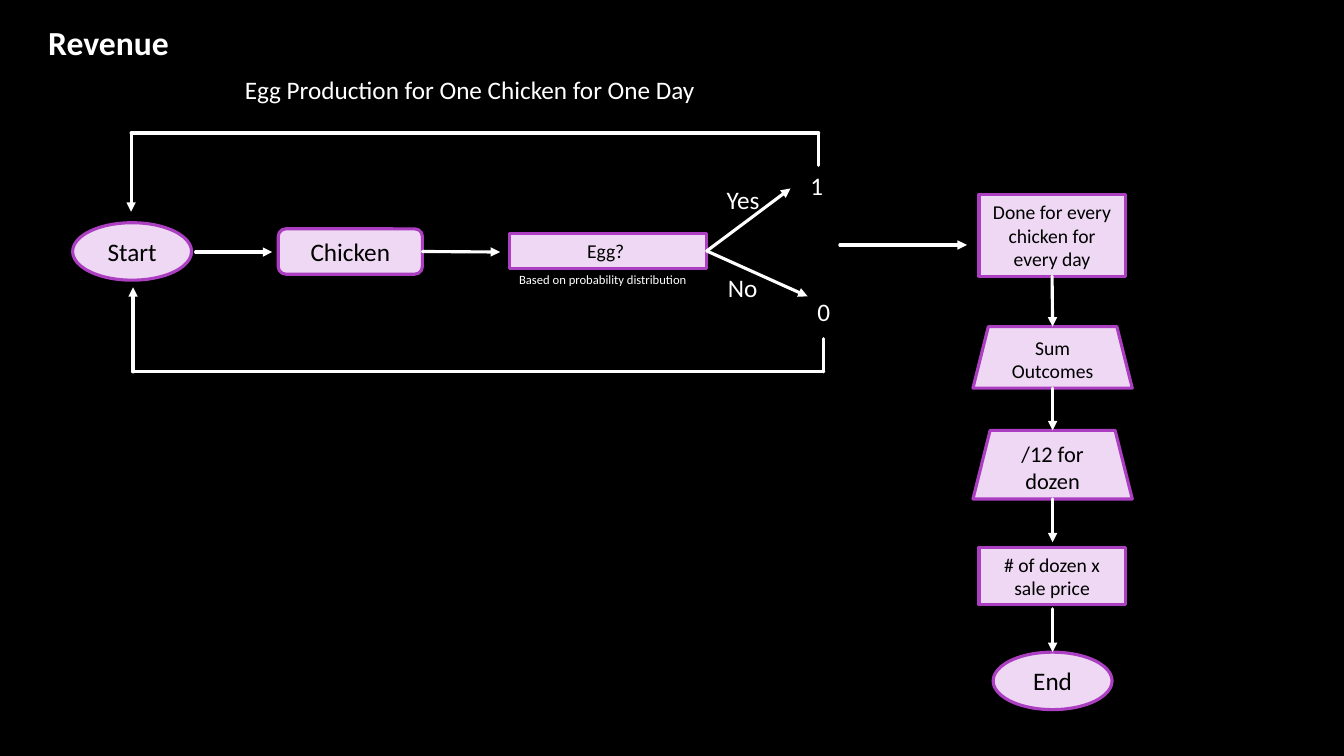
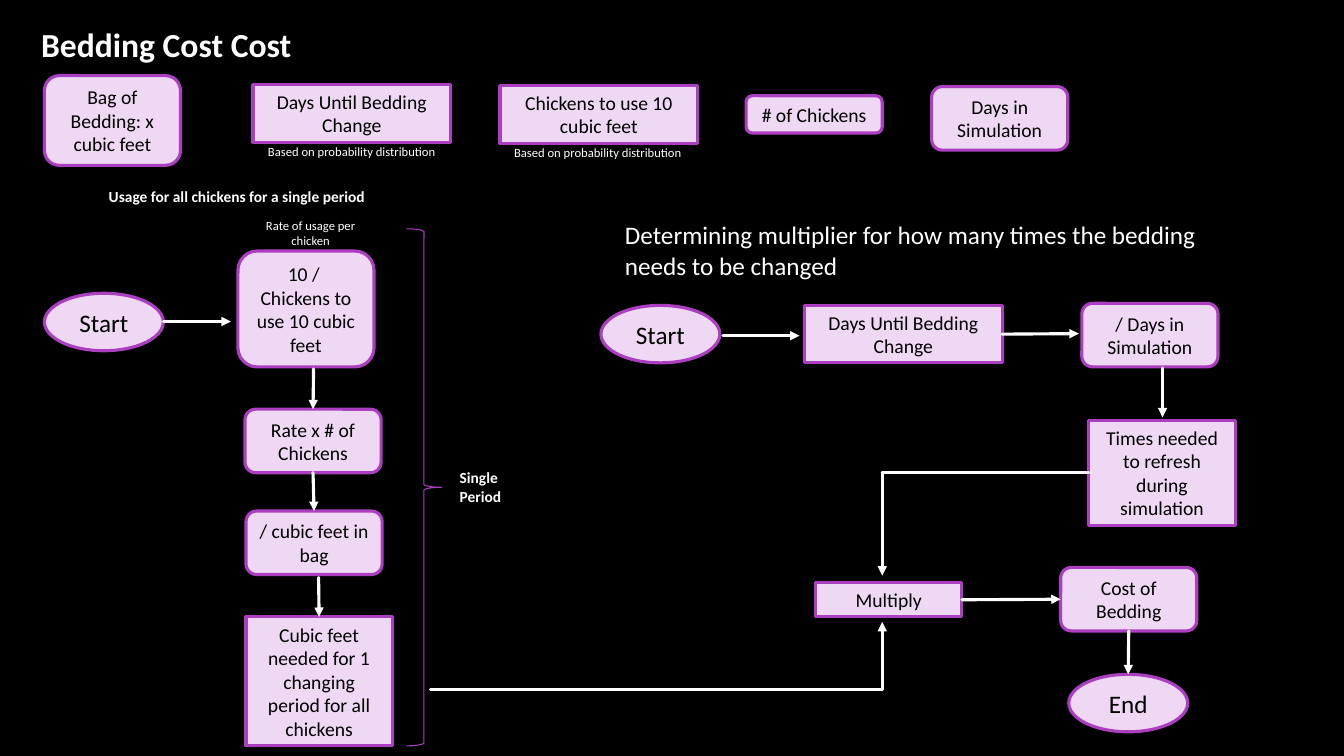
from itertools import pairwise

from lxml import etree
from pptx import Presentation
from pptx.dml.color import RGBColor
from pptx.enum.shapes import MSO_CONNECTOR, MSO_SHAPE
from pptx.enum.text import MSO_ANCHOR, PP_ALIGN
from pptx.oxml.ns import qn
from pptx.util import Inches, Pt

STRAIGHT = MSO_CONNECTOR.STRAIGHT
BRACE = MSO_SHAPE.RIGHT_BRACE
LEFT, CENTER = PP_ALIGN.LEFT, PP_ALIGN.CENTER
MIDDLE, TOP_ANCHOR = MSO_ANCHOR.MIDDLE, MSO_ANCHOR.TOP
TOP, WEST, BOTTOM, EAST = range(4)

THEME = {
    "back": RGBColor.from_string("000000"),
    "fill": RGBColor.from_string("EED8F3"),
    "edge": RGBColor.from_string("AC3EC1"),
    "dark": RGBColor.from_string("000000"),
    "light": RGBColor.from_string("FFFFFF"),
    "font": "Calibri",
    "line": 2.25,
    "thin": 0.75,
    "box": 14,
}

KINDS = {
    "oval": (MSO_SHAPE.OVAL, 1.18),
    "input": (MSO_SHAPE.ROUNDED_RECTANGLE, 1.35),
    "process": (MSO_SHAPE.FLOWCHART_PROCESS, 1.96),
    "result": (MSO_SHAPE.RECTANGLE, 1.45),
    "sum": (MSO_SHAPE.TRAPEZOID, 1.58),
}

TEXT_STYLES = {
    "title": {"size": Pt(24), "bold": True},
    "lead": {"size": Pt(18), "bold": False},
    "tag": {"size": Pt(11), "bold": True},
    "note": {"size": Pt(9), "bold": False},
}

DISTRIBUTION = "Based on probability distribution"

REVENUE = {
    "boxes": {
        "start": ("oval", 0.72, 2.21, 0.57, "Start", {"size": 18}),
        "chicken": ("input", 2.76, 2.27, 0.45, "Chicken", {"size": 18, "width": 1.43}),
        "egg": ("process", 5.05, 2.32, 0.34, "Egg? ", {}),
        "every day": ("result", 9.71, 1.93, 0.81, "Done for every chicken for every day", {}),
        "outcomes": ("sum", 9.65, 3.24, 0.61, "Sum Outcomes", {}),
        "dozen": ("sum", 9.65, 4.27, 0.68, "/12 for dozen", {"size": 16}),
        "sale": ("result", 9.71, 5.43, 0.57, "# of dozen x sale price", {}),
        "end": ("oval", 9.85, 6.47, 0.57, "End", {"size": 18}),
    },
    "texts": [
        ("title", 0.38, 0.17, 2.87, 0.5, "Revenue", LEFT),
        ("lead", 2.33, 0.69, 4.9, 0.4, "Egg Production for One Chicken for One Day", LEFT),
        ("lead", 7.11, 1.78, 0.64, 0.4, "Yes", LEFT),
        ("lead", 7.12, 2.65, 0.64, 0.4, "No", LEFT),
        ("lead", 7.94, 1.64, 0.39, 0.4, "1", LEFT),
        ("lead", 8.01, 2.89, 0.5, 0.4, "0", LEFT),
        ("note", 5.05, 2.65, 1.96, 0.25, DISTRIBUTION, LEFT),
    ],
    "arrows": [
        [(1.94, 2.5), (2.7, 2.5)],
        [("chicken", EAST), (4.96, 2.5)],
        [("egg", EAST), (7.84, 1.87)],
        [("egg", EAST), (8.01, 2.94)],
        [(8.17, 3.36), (8.17, 3.69), (1.32, 3.69), (1.32, 2.85)],
        [(8.12, 1.64), (8.12, 1.32), (1.3, 1.32), (1.3, 2.1)],
        [(8.33, 2.43), (9.59, 2.43)],
        [("every day", BOTTOM), ("outcomes", TOP)],
        [("outcomes", BOTTOM), ("dozen", TOP)],
        [("dozen", BOTTOM), (10.44, 5.38)],
        [(10.44, 6.04), ("end", TOP)],
    ],
    "braces": [],
}

BEDDING = {
    "boxes": {
        "bag size": ("input", 0.44, 0.75, 0.89, "Bag of Bedding: x cubic feet", {}),
        "days": ("process", 2.51, 0.84, 0.57, "Days Until Bedding Change", {}),
        "usage": ("process", 4.96, 0.85, 0.57, "Chickens to use 10 cubic feet", {}),
        "chickens": ("input", 7.4, 0.95, 0.37, "# of Chickens", {}),
        "simulation": ("input", 9.24, 0.86, 0.63, "Days in Simulation", {}),
        "period start": ("oval", 0.44, 2.91, 0.57, "Start", {"size": 18}),
        "rate": ("input", 2.36, 2.49, 1.15, "10 / \nChickens to use 10 cubic feet", {}),
        "all chickens": ("input", 2.43, 4.06, 0.63, "Rate x # of Chickens", {}),
        "bags": ("input", 2.44, 5.07, 0.63, "/ cubic feet in bag", {}),
        "need": ("result", 2.44, 6.12, 1.28,
                 "Cubic feet needed for 1 changing period for all chickens", {}),
        "times start": ("oval", 5.96, 3.03, 0.57, "Start", {"size": 18}),
        "change": ("process", 7.98, 3.03, 0.57, "Days Until Bedding Change", {}),
        "per simulation": ("input", 10.73, 3.01, 0.63, "/ Days in Simulation", {}),
        "times": ("result", 10.8, 4.17, 1.04, "Times needed to refresh during simulation", {}),
        "multiply": ("result", 8.09, 5.78, 0.34, "Multiply", {}),
        "cost": ("input", 10.52, 5.63, 0.63, "Cost of Bedding", {}),
        "end": ("oval", 10.6, 6.69, 0.57, "End", {"size": 18}),
    },
    "texts": [
        ("title", 0.31, 0.19, 2.87, 0.5, "Bedding Cost Cost", LEFT),
        ("note", 2.56, 1.38, 1.96, 0.25, DISTRIBUTION, LEFT),
        ("note", 5, 1.39, 1.96, 0.25, DISTRIBUTION, LEFT),
        ("tag", 0.98, 1.81, 3.05, 0.29, "Usage for all chickens for a single period", LEFT),
        ("note", 2.44, 2.11, 1.28, 0.4, "Rate of usage per chicken", CENTER),
        ("tag", 4.46, 4.6, 0.68, 0.47, "Single Period", LEFT),
        ("lead", 6.1, 2.13, 5.93, 0.71,
         "Determining multiplier for how many times the bedding needs to be changed", LEFT),
    ],
    "arrows": [
        [(1.62, 3.19), (2.29, 3.19)],
        [(3.11, 3.66), ("all chickens", TOP)],
        [("all chickens", BOTTOM), ("bags", TOP)],
        [(3.16, 5.73), ("need", TOP)],
        [(7.17, 3.33), (7.93, 3.33)],
        [("change", EAST), (10.7, 3.31)],
        [(11.53, 3.65), (11.53, 4.14)],
        [("times", WEST), (8.75, 4.69), (8.75, 5.71)],
        [(4.27, 6.84), (8.75, 6.84), (8.75, 6.17)],
        [("multiply", EAST), ("cost", WEST)],
        [("cost", BOTTOM), ("end", TOP)],
    ],
    "braces": [(4.03, 2.27, 0.35, 5.13)],
}


def write(shape, text, fmt, color, align, anchor):
    tf = shape.text_frame
    tf.word_wrap = True
    tf.vertical_anchor = anchor
    tf.text = text
    for p in tf.paragraphs:
        p.alignment = align
        for r in p.runs:
            for name, value in {"name": THEME["font"], **fmt}.items():
                setattr(r.font, name, value)
            r.font.color.rgb = color


def outline(shape, color, width):
    shape.line.color.rgb = color
    shape.line.width = Pt(width)


def add_box(s, kind, x, y, h, text, options):
    preset, w = KINDS[kind]
    w = options.get("width", w)
    sp = s.shapes.add_shape(preset, *map(Inches, (x, y, w, h)))
    sp.shadow.inherit = False
    sp.fill.solid()
    sp.fill.fore_color.rgb = THEME["fill"]
    outline(sp, THEME["edge"], THEME["line"])
    size = Pt(options.get("size", THEME["box"]))
    write(sp, text, {"size": size}, THEME["dark"], CENTER, MIDDLE)
    return sp


def add_text(s, style, x, y, w, h, text, align):
    sp = s.shapes.add_textbox(*map(Inches, (x, y, w, h)))
    write(sp, text, TEXT_STYLES[style], THEME["light"], align, TOP_ANCHOR)


def add_brace(s, x, y, w, h):
    sp = s.shapes.add_shape(BRACE, *map(Inches, (x, y, w, h)))
    sp.shadow.inherit = False
    sp.fill.background()
    outline(sp, THEME["edge"], THEME["thin"])


def locate(point, boxes):
    if not isinstance(point[0], str):
        return tuple(map(Inches, point))
    box, side = boxes[point[0]], point[1]
    across, down = {TOP: (1, 0), WEST: (0, 1), BOTTOM: (1, 2), EAST: (2, 1)}[side]
    return box.left + box.width * across // 2, box.top + box.height * down // 2


def add_arrow(s, points, boxes):
    for start, end in pairwise(points):
        c = s.shapes.add_connector(STRAIGHT, *locate(start, boxes), *locate(end, boxes))
        for point, join in ((start, c.begin_connect), (end, c.end_connect)):
            if isinstance(point[0], str):
                join(boxes[point[0]], point[1])
        outline(c, THEME["light"], THEME["line"])
        props = c._element.spPr
        ln = props.find(qn("a:ln"))
        ln.set("cap", "rnd")
        if end is points[-1]:
            etree.SubElement(ln, qn("a:tailEnd"), type="triangle")
        etree.SubElement(props, qn("a:effectLst"))


def add_flow(prs, flow):
    s = prs.slides.add_slide(prs.slide_layouts[6])
    boxes = {name: add_box(s, *box) for name, box in flow["boxes"].items()}
    for text in flow["texts"]:
        add_text(s, *text)
    for brace in flow["braces"]:
        add_brace(s, *brace)
    for points in flow["arrows"]:
        add_arrow(s, points, boxes)


def main():
    prs = Presentation()
    prs.slide_width, prs.slide_height = Inches(13.33), Inches(7.5)
    fill = prs.slide_master.background.fill
    fill.solid()
    fill.fore_color.rgb = THEME["back"]
    for flow in (REVENUE, BEDDING):
        add_flow(prs, flow)
    prs.save("out.pptx")


if __name__ == "__main__":
    main()
